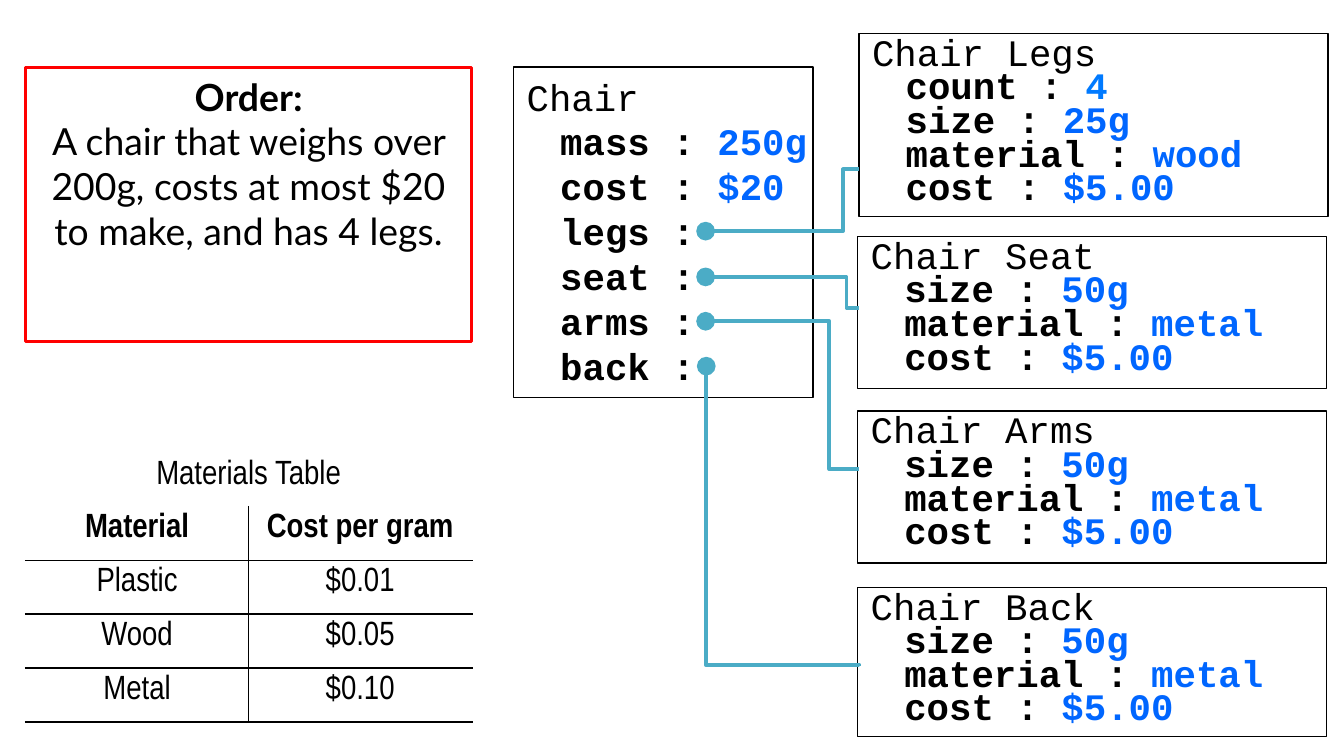
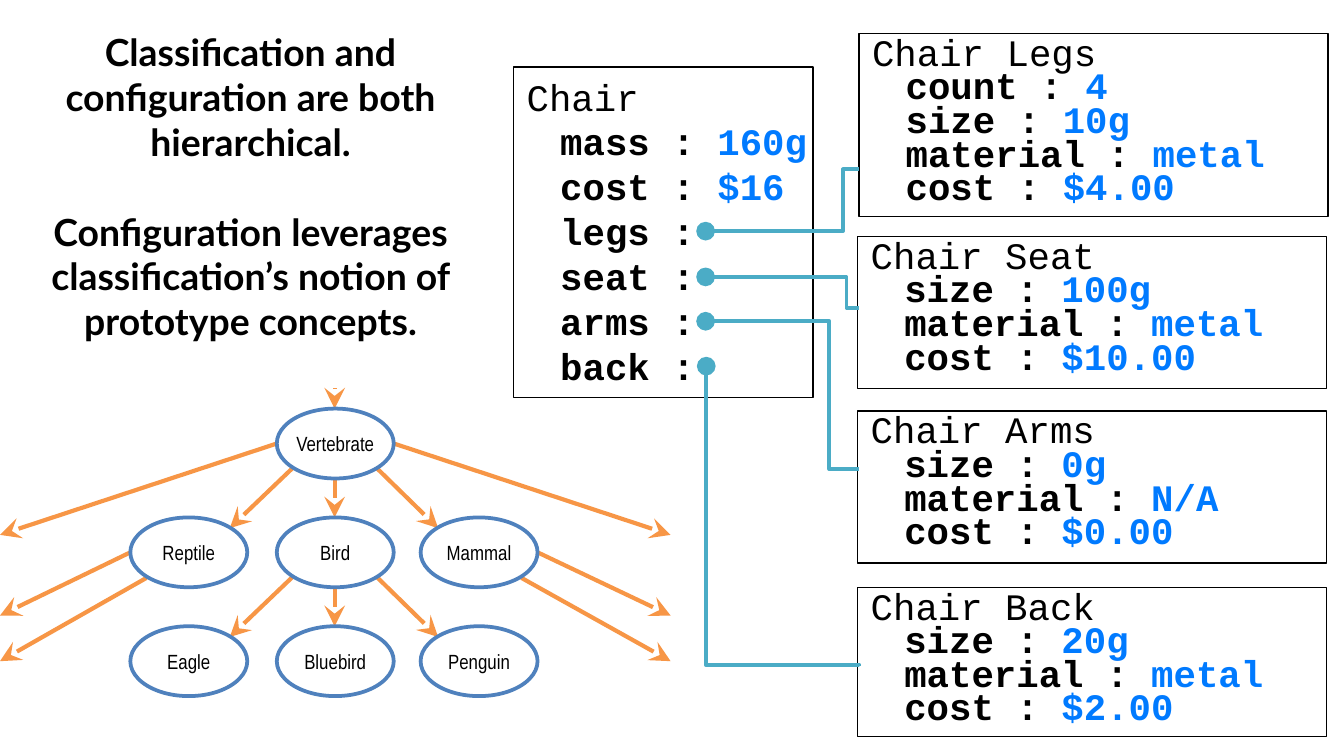
from pptx import Presentation
from pptx.dml.color import RGBColor
from pptx.enum.shapes import MSO_CONNECTOR, MSO_SHAPE
from pptx.enum.text import MSO_ANCHOR, PP_ALIGN
from pptx.oxml.ns import qn
from pptx.util import Inches, Pt
from lxml.etree import SubElement

BLACK = RGBColor(0, 0, 0)
WHITE = RGBColor(255, 255, 255)
RED = RGBColor(255, 0, 0)
TEAL = RGBColor(0x4B, 0xAC, 0xC6)
ORANGE = RGBColor(0xF7, 0x96, 0x46)
NAVY = RGBColor(0x4F, 0x81, 0xBD)
BLUE = RGBColor(0x00, 0x66, 0xFF)
SKY = RGBColor(0x00, 0x7A, 0xFF)
MONO, SANS, NARROW = "Courier New", "Lato", "Arial Narrow"


def put(slide, kind, x, y, w, h, color, weight):
    shape = slide.shapes.add_shape(kind, Inches(x), Inches(y), Inches(w), Inches(h))
    shape.shadow.inherit = False
    shape.fill.background()
    shape.line.color.rgb = color
    shape.line.width = Pt(weight)
    shape.text_frame.word_wrap = True
    shape.text_frame.vertical_anchor = MSO_ANCHOR.TOP
    return shape


def wire(slide, kind, x1, y1, x2, y2, color, weight, tip):
    line = slide.shapes.add_connector(kind, Inches(x1), Inches(y1), Inches(x2), Inches(y2))
    line.line.color.rgb = color
    line.line.width = Pt(weight)
    props = line._element.spPr
    SubElement(props.find(qn("a:ln")), qn("a:tailEnd"), type=tip, w="lg", len="lg")
    SubElement(props, qn("a:effectLst"))
    return props


deck = Presentation()
deck.slide_width = Inches(10)
deck.slide_height = deck.slide_width * 9 // 16
first, second = [deck.slides.add_slide(deck.slide_layouts[6]) for _ in range(2)]

frames = {
    "Chair Legs": (6.39, 0.25, 3.49, 1.36),
    "Chair Seat": (6.38, 1.76, 3.49, 1.13),
    "Chair Arms": (6.38, 3.06, 3.49, 1.13),
    "Chair Back": (6.38, 4.37, 3.49, 1.11),
    "Chair": (3.82, 0.5, 2.23, 2.46),
}
slots = {name: ["size", "material", "cost"] for name in frames}
slots["Chair Legs"] = ["count", "size", "material", "cost"]
slots["Chair"] = ["mass", "cost", "legs", "seat", "arms", "back"]
facts = [
    (first, BLUE, {
        "Chair Legs": ["4", "25g", "wood", "$5.00"],
        "Chair Seat": ["50g", "metal", "$5.00"],
        "Chair Arms": ["50g", "metal", "$5.00"],
        "Chair Back": ["50g", "metal", "$5.00"],
        "Chair": ["250g", "$20", "", "", "", ""],
    }),
    (second, SKY, {
        "Chair Legs": ["4", "10g", "metal", "$4.00"],
        "Chair Seat": ["100g", "metal", "$10.00"],
        "Chair Arms": ["0g", "N/A", "$0.00"],
        "Chair Back": ["20g", "metal", "$2.00"],
        "Chair": ["160g", "$16", "", "", "", ""],
    }),
]
bends = [
    (5.25, 2.06, 6.39, 2.29, 180, 0.081),
    (5.25, 2.39, 6.39, 3.49, 180, 0.193),
    (4.71, 4.41, 6.94, 3.27, 270, 0.002),
    (5.25, 1.72, 6.39, 1.26, 180, 0.103),
]

for slide, tint, values in facts:
    for name, spot in frames.items():
        box = put(slide, MSO_SHAPE.RECTANGLE, *spot, BLACK, 0.75)
        frame = box.text_frame
        if name == "Chair":
            frame.margin_right = 0
        frame.text = name
        for slot, value in zip(slots[name], values[name]):
            para = frame.add_paragraph()
            para._p.get_or_add_pPr().set("marL", str(Inches(0.25)))
            para.font.bold = True
            para.add_run().text = f"{slot} : "
            if value:
                run = para.add_run()
                run.text = value
                run.font.color.rgb = SKY if slot == "count" else tint
        for para in frame.paragraphs:
            para.alignment = PP_ALIGN.LEFT
            para.line_spacing = Pt(24 if name == "Chair" else 18)
            para.font.name = MONO
            para.font.size = Pt(20)
            para.font.color.rgb = BLACK
    for x1, y1, x2, y2, turn, bend in bends:
        props = wire(slide, MSO_CONNECTOR.ELBOW, x1, y1, x2, y2, TEAL, 2, "oval")
        props.find(qn("a:xfrm")).set("rot", str(turn * 60000))
        guides = props.find(qn("a:prstGeom")).find(qn("a:avLst"))
        SubElement(guides, qn("a:gd"), name="adj1", fmla=f"val {round(bend * 100000)}")

rows = [
    ("Materials Table", ""),
    ("Material", "Cost per gram"),
    ("Plastic", "$0.01"),
    ("Wood", "$0.05"),
    ("Metal", "$0.10"),
]
grid = first.shapes.add_table(5, 2, Inches(0.19), Inches(3.37), Inches(3.32), Inches(2)).table
grid.cell(0, 0).merge(grid.cell(0, 1))
for r, row in enumerate(rows):
    grid.rows[r].height = Inches(0.4)
    for c, word in enumerate(row):
        cell = grid.cell(r, c)
        props = cell._tc.get_or_add_tcPr()
        edges = {
            "a:lnL": r > 0 and c == 1,
            "a:lnR": r > 0 and c == 0,
            "a:lnT": r > 1,
            "a:lnB": r > 0,
        }
        for edge, dark in edges.items():
            side = SubElement(props, qn(edge), w=str(Pt(1)))
            paint = SubElement(side, qn("a:solidFill"))
            SubElement(paint, qn("a:srgbClr"), val=str(BLACK if dark else WHITE))
        cell.fill.solid()
        cell.fill.fore_color.rgb = WHITE
        if word:
            cell.text = word
            para = cell.text_frame.paragraphs[0]
            para.alignment = PP_ALIGN.CENTER
            para.font.name = NARROW
            para.font.size = Pt(18)
            para.font.bold = r == 1
            para.font.color.rgb = BLACK

order = put(first, MSO_SHAPE.RECTANGLE, 0.19, 0.5, 3.32, 2.04, RED, 1.5).text_frame
order.text = "Order:\nA chair that weighs over 200g, costs at most $20 to make, and has 4 legs."
note = second.shapes.add_textbox(Inches(0.13), Inches(0.17), Inches(3.47), Inches(2.04)).text_frame
note.word_wrap = True
note.text = (
    "Classification and configuration are both hierarchical.\n"
    "Configuration leverages classification’s notion of prototype concepts."
)
note.paragraphs[1].space_before = Pt(24)
for para in order.paragraphs + note.paragraphs:
    para.alignment = PP_ALIGN.CENTER
    para.font.name = SANS
    para.font.size = Pt(20)
    para.font.bold = True
    para.font.color.rgb = BLACK
order.paragraphs[1].font.bold = False

links = [
    (2.49, 2.89, 2.49, 3.04),
    (2.06, 3.3, 0, 3.98),
    (2.93, 3.3, 4.99, 3.98),
    (0.97, 4.11, 0, 4.58),
    (4, 4.11, 4.99, 4.58),
    (1.09, 4.3, 0, 4.92),
    (3.88, 4.3, 4.99, 4.92),
]
for drop in (0, 0.81):
    links += [
        (2.18, 3.48 + drop, 1.71, 3.93 + drop),
        (2.49, 3.56 + drop, 2.49, 3.85 + drop),
        (2.8, 3.48 + drop, 3.26, 3.93 + drop),
    ]
for link in links:
    wire(second, MSO_CONNECTOR.STRAIGHT, *link, ORANGE, 2.25, "stealth")

tree = [
    ("", "Vertebrate", ""),
    ("Reptile", "Bird", "Mammal"),
    ("Eagle", "Bluebird", "Penguin"),
]
for r, row in enumerate(tree):
    for x, name in zip((0.97, 2.06, 3.13), row):
        if not name:
            continue
        node = put(second, MSO_SHAPE.OVAL, x, 3.04 + 0.81 * r, 0.87, 0.52, NAVY, 2)
        node.fill.solid()
        node.fill.fore_color.rgb = WHITE
        frame = node.text_frame
        frame.margin_left = frame.margin_right = 0
        frame.margin_top = frame.margin_bottom = 0
        frame.vertical_anchor = MSO_ANCHOR.MIDDLE
        frame.text = name
        para = frame.paragraphs[0]
        para.alignment = PP_ALIGN.CENTER
        para.font.name = NARROW
        para.font.size = Pt(11)
        para.font.color.rgb = BLACK

deck.save("out.pptx")
